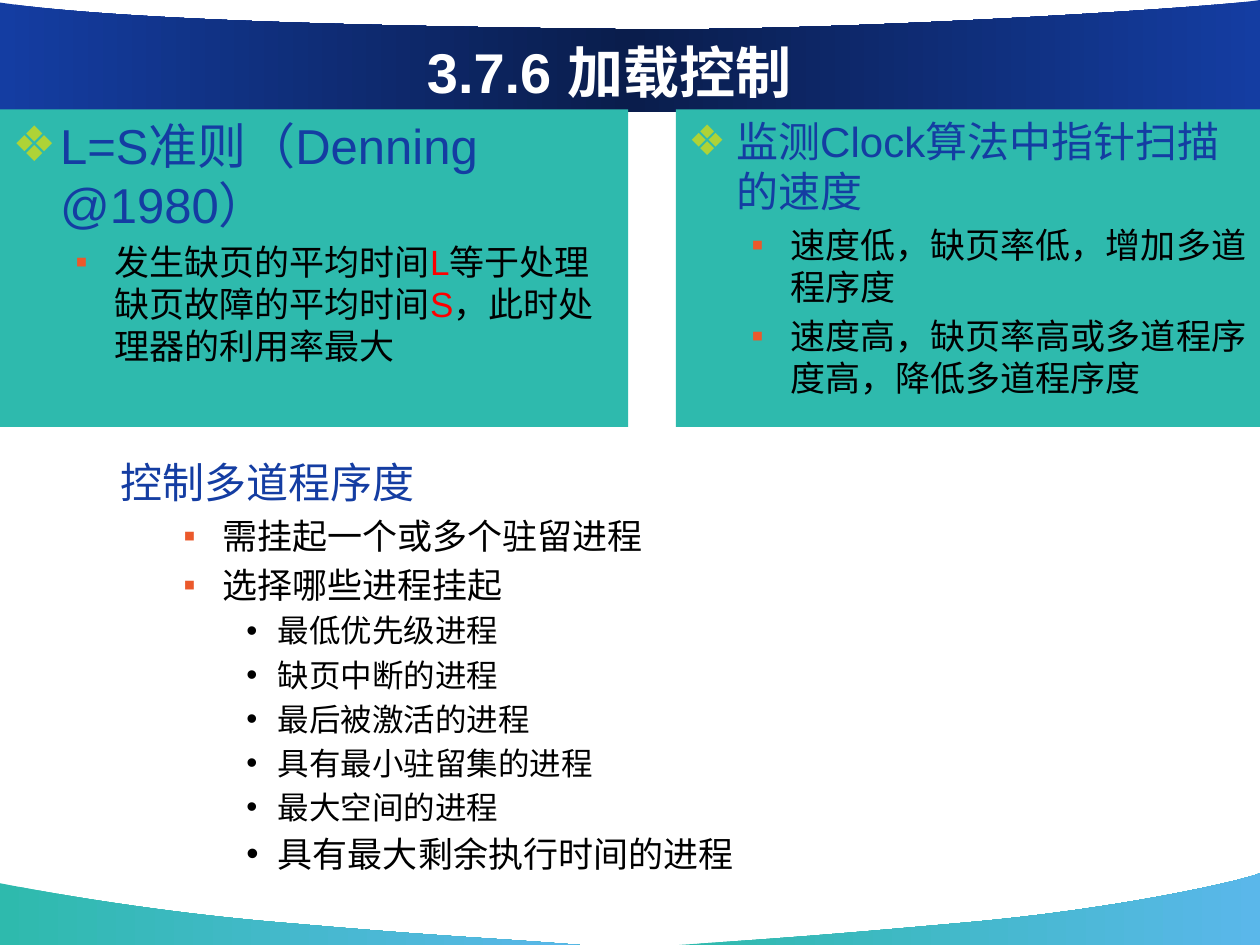
import copy
import pptx
import pptx.dml.color
import pptx.enum.shapes
import pptx.enum.text
import pptx.oxml.ns
import pptx.util
from lxml import etree

COLORS = {
    "teal": "2EBAAD", "sky": "5AB7EA", "blue": "143DA2", "navy": "0A1D4C",
    "lime": "AED337", "orange": "EB592B", "red": "FF0000",
    "black": "000000", "white": "FFFFFF",
}
FONT = "Arial"

LEVELS = {
    "heading": (0, 0.38, -0.38, "❖", "lime", "blue"),
    "plain": (0, 0, 0, None, None, "blue"),
    "point": (1, 0.81, -0.31, "▪", "orange", "black"),
    "detail": (2, 1.25, -0.25, "•", "black", "black"),
}

BANDS = [
    ((46, 100),
     [(38.4, 99.2), (35.8, 99.2), (23.2, 97.73), (10.6, 96.4), (0.1, 93.47), (0, 93.47)],
     [(0, 100)], ["teal", "sky"]),
    ((53.9, 100),
     [(61.4, 99.33), (64.6, 99.07), (76.9, 97.6), (89.2, 96.13), (99, 93.07), (100, 92.4)],
     [(100, 100)], ["teal", "sky"]),
    ((100, 0),
     [(96.4, 0.8), (65.3, 3.47), (48.7, 3.07), (32.1, 2.8), (10.1, 2.27), (0, 0.27)],
     [(0, 11.87), (100, 11.87)], ["blue", "navy", "blue"]),
]

PANELS = [
    ((0, 11.57, 49.85, 33.6), "teal", [
        ("heading", 28, ["L=S准则（Denning @1980）"]),
        ("point", 20, ["发生缺页的平均时间", "L", "等于处理缺页故障的平均时间", "S",
                       "，此时处理器的利用率最大"]),
    ]),
    ((53.65, 11.57, 46.35, 33.6), "teal", [
        ("heading", 24, ["监测Clock算法中指针扫描的速度"]),
        ("point", 20, ["速度低，缺页率低，增加多道程序度"]),
        ("point", 20, ["速度高，缺页率高或多道程序度高，降低多道程序度"]),
    ]),
    ((8.57, 47.68, 82.6, 47.33), "white", [
        ("plain", 24, ["控制多道程序度"]),
        ("point", 20, ["需挂起一个或多个驻留进程"]),
        ("point", 20, ["选择哪些进程挂起"]),
        ("detail", 18, ["最低优先级进程"]),
        ("detail", 18, ["缺页中断的进程"]),
        ("detail", 18, ["最后被激活的进程"]),
        ("detail", 18, ["具有最小驻留集的进程"]),
        ("detail", 18, ["最大空间的进程"]),
        ("detail", 20, ["具有最大剩余执行时间的进程"]),
    ]),
]

presentation = pptx.Presentation()
presentation.slide_width = pptx.util.Inches(10)
presentation.slide_height = pptx.util.Inches(7.5)
column = presentation.slide_width / 100
row = presentation.slide_height / 100
slide = presentation.slides.add_slide(presentation.slide_layouts[5])
qn = pptx.oxml.ns.qn


def rgb(name):
    return pptx.dml.color.RGBColor.from_string(COLORS[name])


def format_run(run, size, color, bold=False):
    run.font.name = FONT
    run.font.size = pptx.util.Pt(size)
    run.font.bold = bold
    run.font.color.rgb = rgb(color)


for start, curve_points, corners, band_colors in BANDS:
    builder = slide.shapes.build_freeform(
        round(start[0] * column), round(start[1] * row))
    builder.add_line_segments(
        [(round(x * column), round(y * row)) for x, y in curve_points + corners], close=True)
    band = builder.convert_to_shape()
    segments = list(band.element.iter(qn("a:lnTo")))[:len(curve_points)]
    for first in range(0, len(segments), 3):
        curve = etree.Element(qn("a:cubicBezTo"))
        segments[first].addprevious(curve)
        for segment in segments[first:first + 3]:
            curve.append(segment[0])
            segment.getparent().remove(segment)
    band.shadow.inherit = False
    band.line.fill.background()
    band.fill.gradient()
    band.fill.gradient_angle = 0
    stops = band.element.spPr.find(".//" + qn("a:gsLst"))
    while len(stops) < len(band_colors):
        stops.append(copy.deepcopy(stops[0]))
    for index, stop in enumerate(band.fill.gradient_stops):
        stop.position = index / (len(band_colors) - 1)
        stop.color.rgb = rgb(band_colors[index])

title = slide.shapes.title
title.element.getparent().append(title.element)
title.left, title.width = round(9.2 * column), round(78.3 * column)
title.top, title.height = round(3.33 * row), round(8.27 * row)
title.text_frame.text = "3.7.6 加载控制"
title.text_frame.auto_size = pptx.enum.text.MSO_AUTO_SIZE.NONE
title.text_frame.vertical_anchor = pptx.enum.text.MSO_ANCHOR.TOP
title.text_frame.paragraphs[0].alignment = pptx.enum.text.PP_ALIGN.CENTER
format_run(title.text_frame.paragraphs[0].runs[0], 32, "white", True)

for (left, top, width, height), fill, lines in PANELS:
    panel = slide.shapes.add_shape(
        pptx.enum.shapes.MSO_SHAPE.RECTANGLE,
        round(left * column), round(top * row), round(width * column), round(height * row))
    panel.shadow.inherit = False
    panel.fill.solid()
    panel.fill.fore_color.rgb = rgb(fill)
    panel.line.fill.background()
    text_frame = panel.text_frame
    text_frame.word_wrap = True
    text_frame.vertical_anchor = pptx.enum.text.MSO_ANCHOR.TOP
    for index, (kind, size, texts) in enumerate(lines):
        level, margin, indent, bullet, bullet_color, color = LEVELS[kind]
        paragraph = text_frame.add_paragraph() if index else text_frame.paragraphs[0]
        paragraph.level = level
        paragraph.alignment = pptx.enum.text.PP_ALIGN.LEFT
        properties = paragraph._p.get_or_add_pPr()
        properties.set("marL", str(pptx.util.Inches(margin)))
        properties.set("indent", str(pptx.util.Inches(indent)))
        if bullet:
            bullet_fill = etree.SubElement(properties, qn("a:buClr"))
            etree.SubElement(bullet_fill, qn("a:srgbClr"), val=COLORS[bullet_color])
            etree.SubElement(properties, qn("a:buFont"), typeface=FONT)
            etree.SubElement(properties, qn("a:buChar"), char=bullet)
        if index:
            paragraph.space_before = pptx.util.Pt(size * 0.2)
        for text in texts:
            run = paragraph.add_run()
            run.text = text
            format_run(run, size, "red" if text in ("L", "S") else color)

presentation.save("out.pptx")
